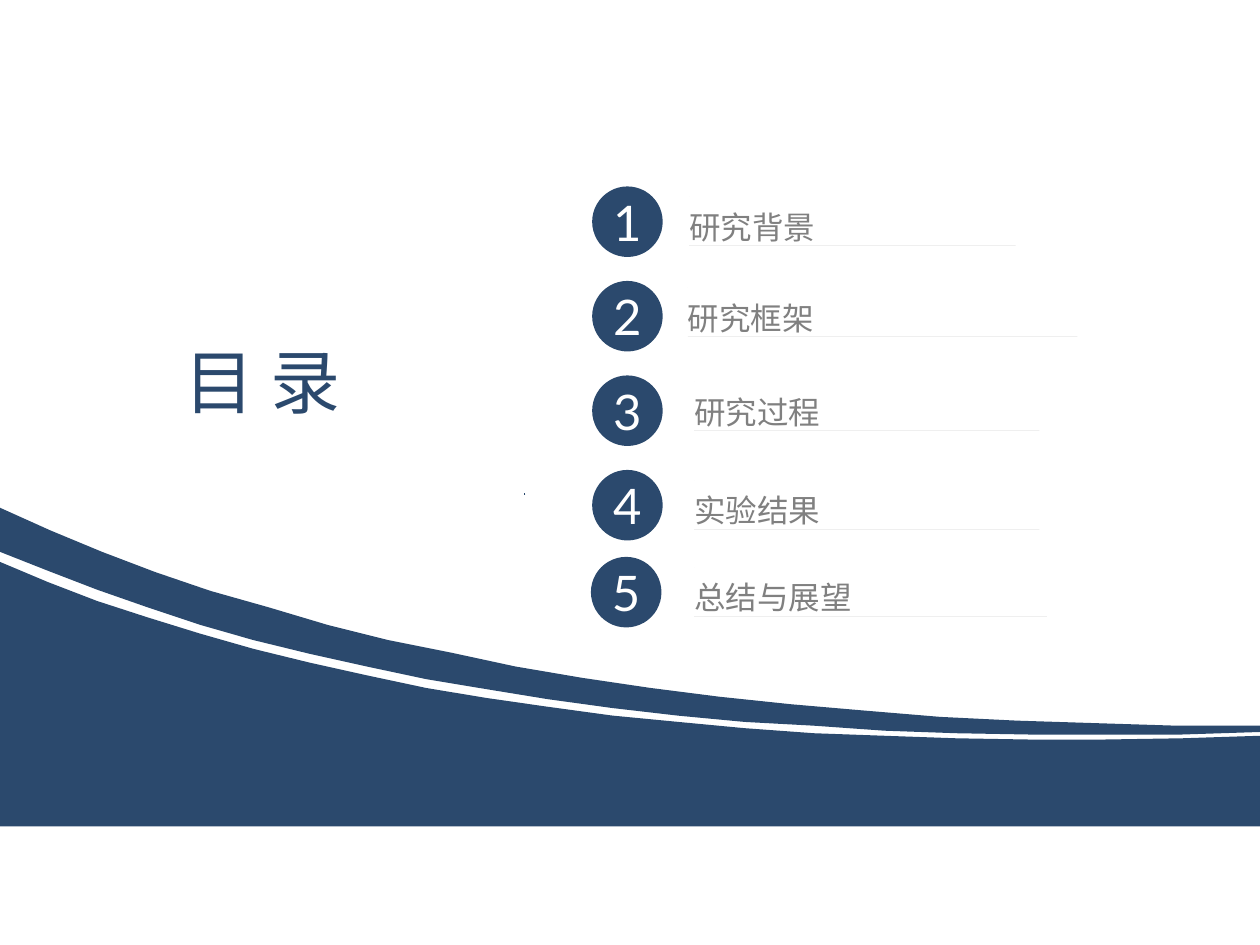
from lxml.etree import SubElement
from pptx import Presentation
from pptx.dml.color import RGBColor
from pptx.enum.shapes import MSO_CONNECTOR, MSO_SHAPE
from pptx.enum.text import MSO_ANCHOR, MSO_AUTO_SIZE, PP_ALIGN
from pptx.oxml.ns import qn
from pptx.util import Inches, Pt

NAVY = "2B496D"
GRAY = "808080"
WHITE = "FFFFFF"
CHINESE_FONT = "Noto Sans CJK SC"
BADGE_SIZE = 0.56
LABEL_HEIGHT = 0.39

LOWER_WAVE = [
    (10, 5.84), (9.38, 5.86), (8.76, 5.87), (8.17, 5.87), (7.59, 5.86),
    (7.02, 5.84), (6.46, 5.82), (5.91, 5.78), (5.38, 5.73), (4.86, 5.68),
    (4.35, 5.61), (3.86, 5.54), (3.38, 5.46), (2.91, 5.36), (2.46, 5.26),
    (2.01, 5.15), (1.59, 5.03), (1.17, 4.9), (0.77, 4.77), (0.38, 4.62),
    (0, 4.46),
]
BAND_TOP = [
    (10, 5.76), (9.34, 5.76), (8.7, 5.74), (8.07, 5.72), (7.46, 5.69),
    (6.86, 5.64), (6.28, 5.59), (5.71, 5.53), (5.16, 5.46), (4.62, 5.38),
    (4.09, 5.29), (3.58, 5.18), (3.08, 5.08), (2.6, 4.96), (2.13, 4.82),
    (1.67, 4.69), (1.23, 4.54), (0.81, 4.38), (0.4, 4.21), (0, 4.03),
]
BAND_BOTTOM = [
    (0, 4.38), (0.38, 4.53), (0.77, 4.68), (1.17, 4.82), (1.59, 4.96),
    (2.01, 5.08), (2.46, 5.19), (2.91, 5.29), (3.38, 5.39), (3.86, 5.47),
    (4.35, 5.55), (4.86, 5.62), (5.38, 5.68), (5.91, 5.73), (6.46, 5.76),
    (7.02, 5.8), (7.59, 5.82), (8.17, 5.83), (8.76, 5.83), (9.38, 5.83),
    (10, 5.81),
]
CHAPTERS = [
    ("研究背景", 4.7, 1.48, 5.47, 1.56, 2.59),
    ("研究框架", 4.7, 2.23, 5.46, 2.28, 3.09),
    ("研究过程", 4.7, 2.98, 5.51, 3.03, 2.74),
    ("实验结果", 4.7, 3.73, 5.51, 3.81, 2.74),
    ("总结与展望", 4.69, 4.42, 5.51, 4.5, 2.8),
]


def color(value):
    return RGBColor.from_string(value)


def paint(shape, fill):
    shape.shadow.inherit = False
    shape.fill.solid()
    shape.fill.fore_color.rgb = color(fill)
    shape.line.fill.background()


def add_outline(page, contours, fill):
    builder = None
    for contour in contours:
        corners = [(Inches(x), Inches(y)) for x, y in contour]
        if builder is None:
            builder = page.shapes.build_freeform(*corners[0])
        else:
            builder.move_to(*corners[0])
        builder.add_line_segments(corners[1:], close=True)
    shape = builder.convert_to_shape()
    paint(shape, fill)
    return shape


def add_line(page, start, end, ink, width):
    line = page.shapes.add_connector(
        MSO_CONNECTOR.STRAIGHT, *map(Inches, start + end))
    line.line.color.rgb = color(ink)
    line.line.width = Pt(width)
    SubElement(line._element.spPr, qn("a:effectLst"))


def write(paragraph, text, font, size, ink):
    span = paragraph.add_run()
    span.text = text
    span.font.name = font
    span.font.size = Pt(size)
    span.font.color.rgb = color(ink)
    SubElement(span.font._element, qn("a:ea"), typeface=CHINESE_FONT)


def center_without_margins(frame):
    frame.margin_left = frame.margin_right = 0
    frame.margin_top = frame.margin_bottom = 0
    frame.vertical_anchor = MSO_ANCHOR.MIDDLE
    frame.word_wrap = True


def add_badge(page, number, left, top):
    badge = page.shapes.add_shape(
        MSO_SHAPE.OVAL, *map(Inches, (left, top, BADGE_SIZE, BADGE_SIZE)))
    paint(badge, NAVY)
    center_without_margins(badge.text_frame)
    paragraph = badge.text_frame.paragraphs[0]
    paragraph.alignment = PP_ALIGN.CENTER
    write(paragraph, str(number), "Lato", 28, WHITE)


def add_label(page, text, left, top, width):
    bottom = top + LABEL_HEIGHT
    underline = [(left, bottom), (left + width, bottom), (left, bottom)]
    corner = [(left, top)] * 3
    label = add_outline(page, [underline, corner], GRAY)
    center_without_margins(label.text_frame)
    label.text_frame.auto_size = MSO_AUTO_SIZE.SHAPE_TO_FIT_TEXT
    paragraph = label.text_frame.paragraphs[0]
    paragraph.alignment = PP_ALIGN.LEFT
    paragraph.line_spacing = 1.3
    write(paragraph, text, "Arial", 18, GRAY)


def add_title(page, text):
    box = page.shapes.add_textbox(*map(Inches, (1.12, 2.64, 1.93, 0.77)))
    box.text_frame.word_wrap = True
    box.text_frame.auto_size = MSO_AUTO_SIZE.SHAPE_TO_FIT_TEXT
    paragraph = box.text_frame.paragraphs[0]
    paragraph.alignment = PP_ALIGN.CENTER
    write(paragraph, text, CHINESE_FONT, 40, NAVY)


def main():
    deck = Presentation()
    deck.slide_width, deck.slide_height = Inches(10), Inches(7.5)
    page = deck.slides.add_slide(deck.slide_layouts[6])
    add_outline(page, [[(0, 6.56), (10, 6.56)] + LOWER_WAVE], NAVY)
    add_outline(page, [BAND_TOP + BAND_BOTTOM], NAVY)
    for number, chapter in enumerate(CHAPTERS, 1):
        text, badge_left, badge_top, left, top, width = chapter
        add_badge(page, number, badge_left, badge_top)
        add_label(page, text, left, top, width)
    add_line(page, (4.17, 3.92), (4.16, 3.92), "28476C", 0.75)
    add_title(page, "目 录")
    deck.save("out.pptx")


if __name__ == "__main__":
    main()
